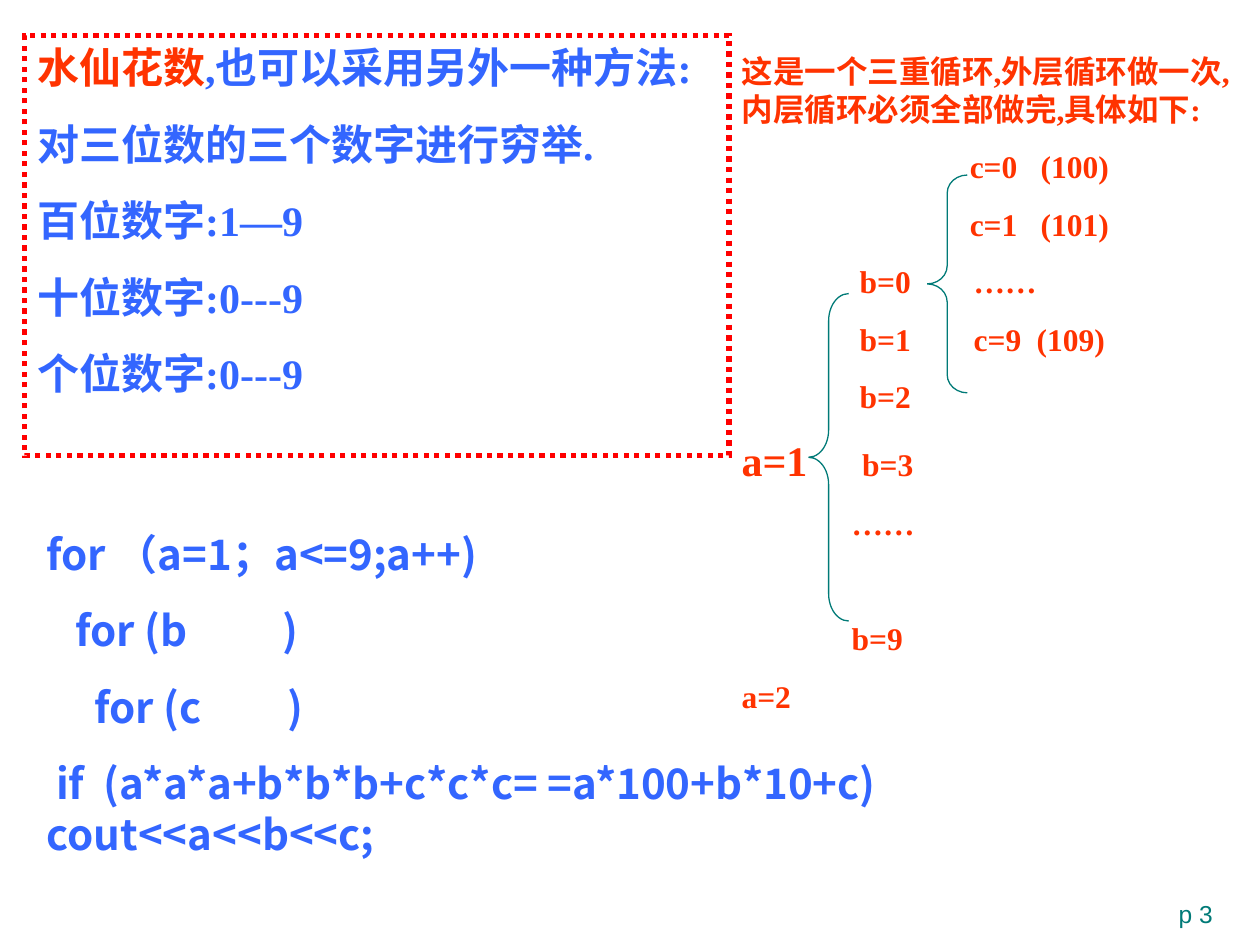
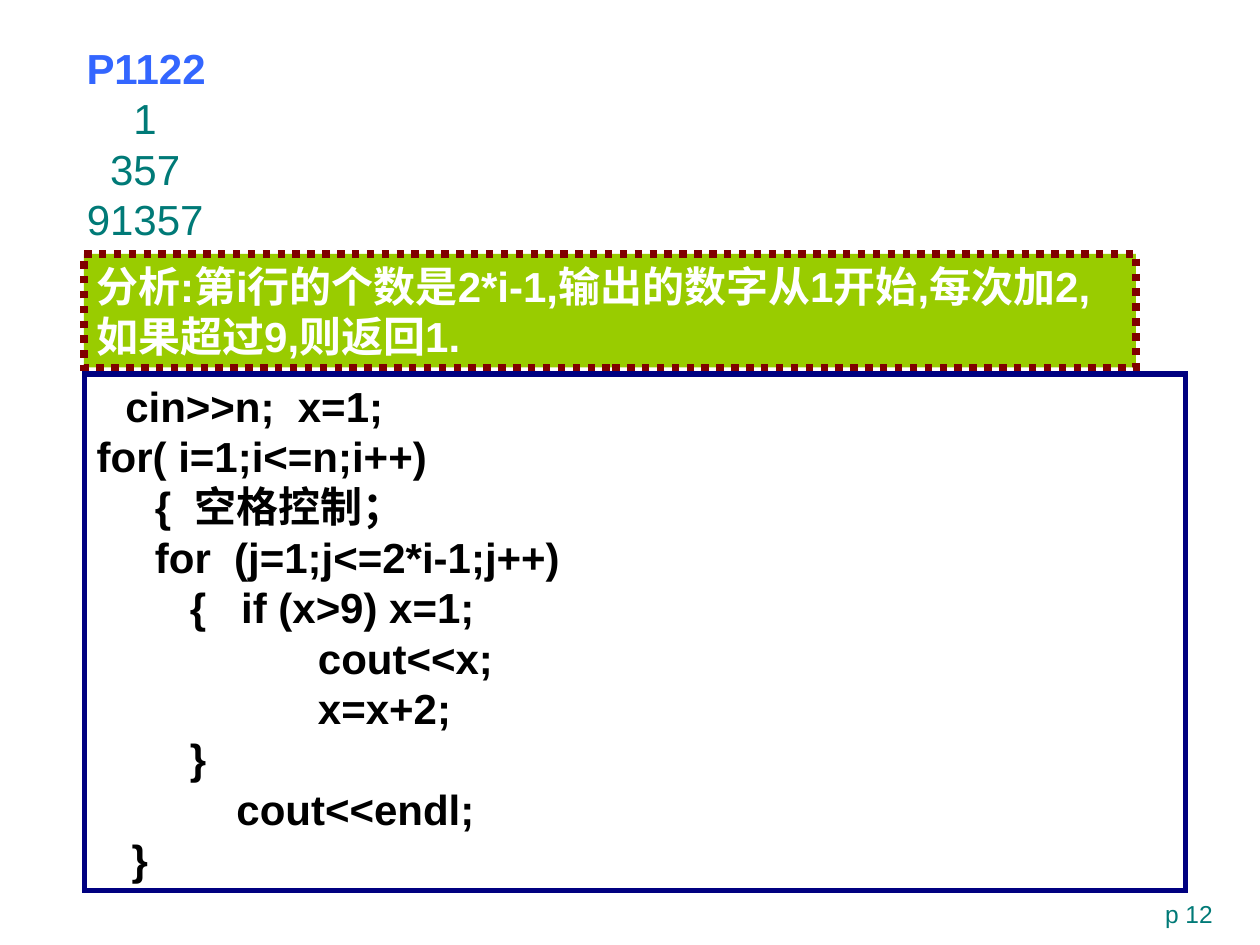
from dataclasses import dataclass

from lxml import etree
from pptx import Presentation
from pptx import util as u
from pptx.dml.color import RGBColor
from pptx.enum import dml, shapes, text
from pptx.oxml.ns import qn


@dataclass(frozen=True)
class Theme:
    # Colours
    blue: str = "3366FF"
    orange: str = "FF3300"
    teal: str = "007A77"
    red: str = "FF0000"
    maroon: str = "800000"
    navy: str = "000080"
    green: str = "99CC00"
    white: str = "FFFFFF"
    black: str = "000000"
    # Fonts and type sizes in points
    sans: str = "Arial"
    serif: str = "Times New Roman"
    cjk: str = "Noto Sans CJK SC"
    body: int = 24
    note: int = 18
    footer: int = 14
    leading: float = 1.2


THEME = Theme()
TITLE_ONLY, BLANK = 5, 6


@dataclass(frozen=True)
class Style:
    font: str
    color: str
    size: int = THEME.body
    bold: bool = True
    before: float = 0


METHOD = Style(THEME.serif, THEME.blue, before=15)
KEYWORD = Style(THEME.sans, THEME.orange)
LOOPS = Style(THEME.cjk, THEME.blue, before=15)
TRACE = Style(THEME.serif, THEME.orange, THEME.note, before=11.2)
TRACE_BIG = Style(THEME.serif, THEME.orange)
HEADING = Style(THEME.sans, THEME.blue)
OUTPUT = Style(THEME.sans, THEME.teal, bold=False)
ANALYSIS = Style(THEME.sans, THEME.white)
CODE = Style(THEME.sans, THEME.black)
CODE_INDENT = Style(THEME.cjk, THEME.black)
FOOTER = Style(THEME.sans, THEME.teal, THEME.footer, bold=False)


def cm_box(*lengths):
    return [u.Cm(length) for length in lengths]


def set_font(font, style):
    font.name = style.font
    font.size = u.Pt(style.size)
    font.bold = style.bold
    font.color.rgb = RGBColor.from_string(style.color)


def set_tabs(para, stops):
    tab_list = etree.SubElement(para._p.get_or_add_pPr(), qn("a:tabLst"))
    for stop in stops:
        etree.SubElement(tab_list, qn("a:tab"), pos=str(u.Cm(stop)), algn="l")


def write(frame, lines, style, tabs=None, align=text.PP_ALIGN.LEFT):
    """Each line is a string, or a list of (words, style) spans."""
    frame.word_wrap = True
    frame.vertical_anchor = text.MSO_ANCHOR.TOP
    for index, line in enumerate(lines):
        para = frame.paragraphs[0] if index == 0 else frame.add_paragraph()
        para._p.get_or_add_pPr().set("hangingPunct", "0")
        if tabs:
            set_tabs(para, tabs[index])
        para.alignment = align
        para.space_before = u.Pt(style.before if index else 0)
        if isinstance(line, str):
            para.text = line
            set_font(para.font, style)
            largest = style.size
        else:
            for words, span_style in line:
                span = para.add_run()
                span.text = words
                set_font(span.font, span_style)
            largest = max(span_style.size for _, span_style in line)
        para.line_spacing = u.Pt(largest * THEME.leading)
    return frame.paragraphs


def add_text(page, place, lines, style, **options):
    box = page.shapes.add_textbox(*cm_box(*place))
    return write(box.text_frame, lines, style, **options)


def set_outline(shape, color, width, dotted=False):
    shape.line.color.rgb = RGBColor.from_string(color)
    shape.line.width = u.Pt(width)
    if dotted:
        shape.line.dash_style = dml.MSO_LINE.ROUND_DOT
    # Square corners
    outline = shape._element.spPr.find(qn("a:ln"))
    etree.SubElement(outline, qn("a:miter"), lim="800000")


def add_panel(page, place, lines, style, line, width, fill=None, dotted=False):
    panel = page.shapes.add_shape(shapes.MSO_SHAPE.RECTANGLE, *cm_box(*place))
    panel.shadow.inherit = False
    if fill:
        panel.fill.solid()
        panel.fill.fore_color.rgb = RGBColor.from_string(fill)
    else:
        panel.fill.background()
    set_outline(panel, line, width, dotted)
    write(panel.text_frame, lines, style)


def add_brace(page, left, top, height, width=0.81):
    brace = page.shapes.add_shape(
        shapes.MSO_SHAPE.LEFT_BRACE, *cm_box(left, top, width, height))
    brace.shadow.inherit = False
    brace.fill.background()
    set_outline(brace, THEME.teal, 0.75)
    # The curl is a twelfth of the height, expressed in brace widths
    brace.adjustments[0] = height / 12 / width


def add_title(page, place, words):
    title = page.shapes.title
    title.left, title.top, title.width, title.height = cm_box(*place)
    title.text_frame.auto_size = text.MSO_AUTO_SIZE.NONE
    write(title.text_frame, [words], HEADING)


def add_page_number(page, number):
    add_text(page, (18.35, 18, 6.35, 1.07), [f"p {number}"], FOOTER,
             align=text.PP_ALIGN.RIGHT)


def build_narcissistic_numbers(deck):
    page = deck.slides.add_slide(deck.slide_layouts[BLANK])
    add_page_number(page, 3)

    # Method
    add_panel(page, (0.5, 0.71, 14.2, 8.48), [
        [("水仙花数", KEYWORD), (",也可以采用另外一种方法:", METHOD)],
        "对三位数的三个数字进行穷举.",
        "百位数字:1—9",
        "十位数字:0---9",
        "个位数字:0---9",
    ], METHOD, THEME.red, 3, dotted=True)

    # Nested loops
    add_text(page, (0.69, 10.52, 23.8, 6.93), [
        "for （a=1；a<=9;a++)",
        "   for (b          )",
        "     for (c         )",
        " if  (a*a*a+b*b*b+c*c*c= =a*100+b*10+c) cout<<a<<b<<c;",
    ], LOOPS)

    # Trace of the loops: each row with its stops for b, c and value
    rows = [
        ("这是一个三重循环,外层循环做一次,内层循环必须全部做完,具体如下:", ()),
        ("\t\tc=0\t(100)", (2.38, 4.6, 6.03)),
        ("\t\tc=1\t(101)", (2.38, 4.6, 6.03)),
        ("\tb=0\t……", (2.38, 4.68)),
        ("\tb=1\tc=9\t(109)", (2.38, 4.68, 5.95)),
        ("\tb=2", (2.38,)),
        ([("a=1", TRACE_BIG), ("\tb=3", TRACE)], (2.43,)),
        ("\t……", (2.22,)),
        ("\tb=9", (2.22,)),
        ("a=2", ()),
    ]
    lines, stops = zip(*rows)
    trace = add_text(page, (14.7, 0.93, 10.69, 14.4), lines, TRACE, tabs=stops)
    skipped_line = TRACE.before + TRACE.size * THEME.leading
    trace[-2].space_before = u.Pt(TRACE.before + skipped_line)
    add_brace(page, 16.3, 5.92, 6.6)
    add_brace(page, 18.69, 3.53, 4.39)


def build_number_triangle(deck):
    page = deck.slides.add_slide(deck.slide_layouts[TITLE_ONLY])
    add_title(page, (1.49, 0.73, 7.01, 1.27), "P1122")
    add_page_number(page, 12)

    # Sample output: each row starts one digit further left
    rows = add_text(page, (1.5, 1.75, 7.01, 3.3), ["1", "357", "91357"], OUTPUT)
    digit_width = 0.47
    for index, row in enumerate(rows):
        indent = u.Cm((len(rows) - 1 - index) * digit_width)
        row._p.get_or_add_pPr().set("marL", str(indent))

    # Analysis
    add_panel(page, (1.69, 5.12, 21.21, 2.29), [
        "分析:第i行的个数是2*i-1,输出的数字从1开始,每次加2,如果超过9,则返回1.",
    ], ANALYSIS, THEME.maroon, 4.25, fill=THEME.green, dotted=True)

    # Program
    add_panel(page, (1.7, 7.54, 22.2, 10.41), [
        [("   ", CODE_INDENT), ("cin>>n;  x=1;", CODE)],
        "for( i=1;i<=n;i++)",
        "     {  空格控制；",
        "     for  (j=1;j<=2*i-1;j++)",
        "        {   if (x>9) x=1;",
        "                   cout<<x;",
        "                   x=x+2;",
        "        }",
        "            cout<<endl;",
        "   }",
    ], CODE, THEME.navy, 3)


def main():
    deck = Presentation()
    deck.slide_width, deck.slide_height = cm_box(25.4, 19.05)
    build_narcissistic_numbers(deck)
    build_number_triangle(deck)
    deck.save("out.pptx")


if __name__ == "__main__":
    main()
